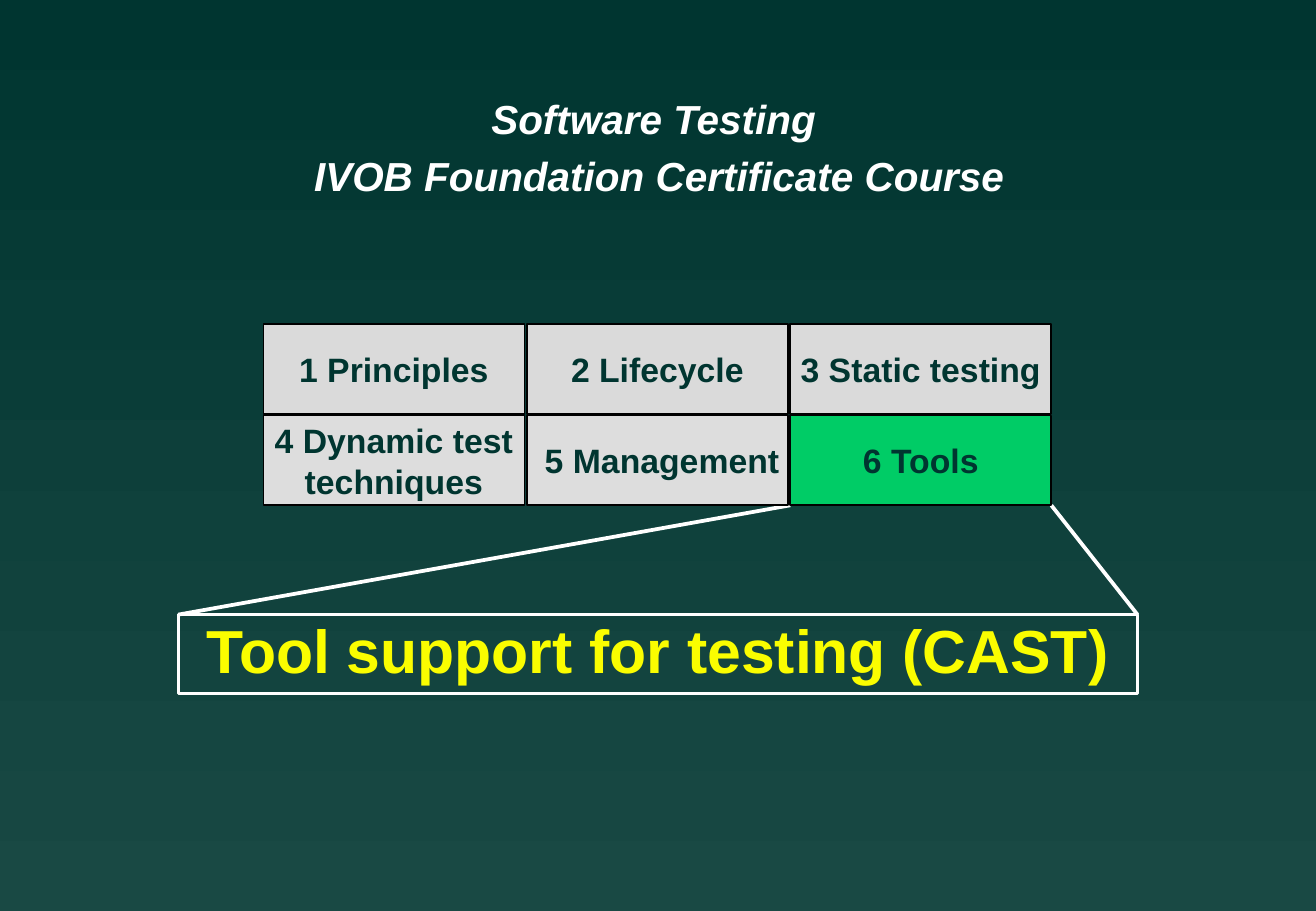
from pptx import Presentation
from pptx.dml import color
from pptx.enum import shapes, text
from pptx.oxml import ns
from pptx.util import Inches, Pt
from lxml import etree

TOPICS = [
    ["1 Principles", "2 Lifecycle", "3 Static testing"],
    ["4 Dynamic test\ntechniques", " 5 Management", "6 Tools"],
]
ROW_FILLS = ["DADADA", "DDDDDD"]
CURRENT_TOPIC = "6 Tools"
CURRENT_FILL = "00CC66"
DARK_GREEN, WHITE, YELLOW, BLACK = "003530", "FFFFFF", "FAFD00", "000000"
GRID_LEFT, GRID_TOP = 2.17, 2.67
COLUMN_STEP, ROW_STEP = 2.17, 0.75
CELL_WIDTH, CELL_HEIGHT = 2.15, 0.74
TITLE_LEFT, TITLE_TOP, TITLE_WIDTH, TITLE_HEIGHT = 1.47, 5.06, 7.9, 0.65


def rgb(value):
    """Turn a hex string into a colour."""
    return color.RGBColor.from_string(value)


def place(shape, left, top, width, height):
    """Move and size a shape, in inches."""
    shape.left, shape.top = Inches(left), Inches(top)
    shape.width, shape.height = Inches(width), Inches(height)


def set_line(line, colour, width):
    """Set the colour and point width of a line."""
    line.color.rgb = rgb(colour)
    line.width = Pt(width)


def format_paragraph(paragraph, size, colour, spacing=1.0, italic=False):
    """Centre a paragraph and set its bold Arial font."""
    paragraph.alignment = text.PP_ALIGN.CENTER
    paragraph.line_spacing = spacing
    paragraph.space_before = Pt(0)
    font = paragraph.font
    font.name, font.size = "Arial", Pt(size)
    font.bold, font.italic = True, italic
    font.color.rgb = rgb(colour)


def set_background(slide):
    """Fill the background with a vertical green gradient."""
    fill = slide.background.fill
    fill.gradient()
    fill.gradient_angle = 270
    for stop, colour in zip(fill.gradient_stops, (DARK_GREEN, "194944")):
        stop.color.rgb = rgb(colour)


def set_title(slide, wording):
    """Write the framed session title."""
    title = slide.shapes.title
    place(title, TITLE_LEFT, TITLE_TOP, TITLE_WIDTH, TITLE_HEIGHT)
    set_line(title.line, WHITE, 2.25)
    frame = title.text_frame
    frame.text = wording
    frame.auto_size = text.MSO_AUTO_SIZE.NONE
    frame.vertical_anchor = text.MSO_ANCHOR.MIDDLE
    format_paragraph(frame.paragraphs[0], 36, YELLOW, spacing=0.88)


def add_course_name(slide, lines):
    """Add the course name at the top."""
    box = slide.shapes.add_textbox(Inches(1.94), Inches(0.67), Inches(6.98), Inches(1))
    frame = box.text_frame
    frame.word_wrap = True
    frame.margin_left = frame.margin_right = Inches(0.07)
    frame.margin_top = frame.margin_bottom = Inches(0.03)
    frame.text = "\n".join(lines)
    for paragraph in frame.paragraphs:
        format_paragraph(paragraph, 24, WHITE, spacing=1.18, italic=True)


def add_callout_line(slide, start, end):
    """Draw a white line between two points."""
    line = slide.shapes.add_connector(
        shapes.MSO_CONNECTOR.STRAIGHT, *(Inches(value) for value in (*start, *end))
    )
    set_line(line.line, WHITE, 2.25)
    properties = line._element.find(ns.qn("p:spPr"))
    etree.SubElement(properties, ns.qn("a:effectLst"))


def add_topic(slide, wording, left, top, fill):
    """Add one topic cell."""
    cell = slide.shapes.add_shape(
        shapes.MSO_SHAPE.RECTANGLE,
        Inches(left), Inches(top), Inches(CELL_WIDTH), Inches(CELL_HEIGHT),
    )
    cell.shadow.inherit = False
    cell.fill.solid()
    cell.fill.fore_color.rgb = rgb(fill)
    set_line(cell.line, BLACK, 1)
    frame = cell.text_frame
    frame.word_wrap = False
    frame.vertical_anchor = text.MSO_ANCHOR.MIDDLE
    paragraph = frame.paragraphs[0]
    paragraph.text = wording
    format_paragraph(paragraph, 20, DARK_GREEN)


def add_topic_grid(slide):
    """Add the course topics in two rows, with the current one in green."""
    for row, (topics, row_fill) in enumerate(zip(TOPICS, ROW_FILLS)):
        for column, topic in enumerate(topics):
            fill = CURRENT_FILL if topic == CURRENT_TOPIC else row_fill
            left = GRID_LEFT + column * COLUMN_STEP
            add_topic(slide, topic, left, GRID_TOP + row * ROW_STEP, fill)


def main():
    """Build and save the slide."""
    presentation = Presentation()
    presentation.slide_width = Inches(10.84)
    presentation.slide_height = Inches(7.5)
    slide = presentation.slides.add_slide(presentation.slide_layouts[5])
    set_background(slide)
    set_title(slide, "Tool support for testing (CAST)")
    add_course_name(slide, ["Software Testing ", "IVOB Foundation Certificate Course"])
    tools_left = GRID_LEFT + 2 * COLUMN_STEP
    tools_bottom = GRID_TOP + ROW_STEP + CELL_HEIGHT
    add_callout_line(slide, (tools_left, tools_bottom), (TITLE_LEFT, TITLE_TOP))
    add_callout_line(
        slide,
        (TITLE_LEFT + TITLE_WIDTH, TITLE_TOP),
        (tools_left + CELL_WIDTH, tools_bottom),
    )
    add_topic_grid(slide)
    presentation.save("out.pptx")


if __name__ == "__main__":
    main()
